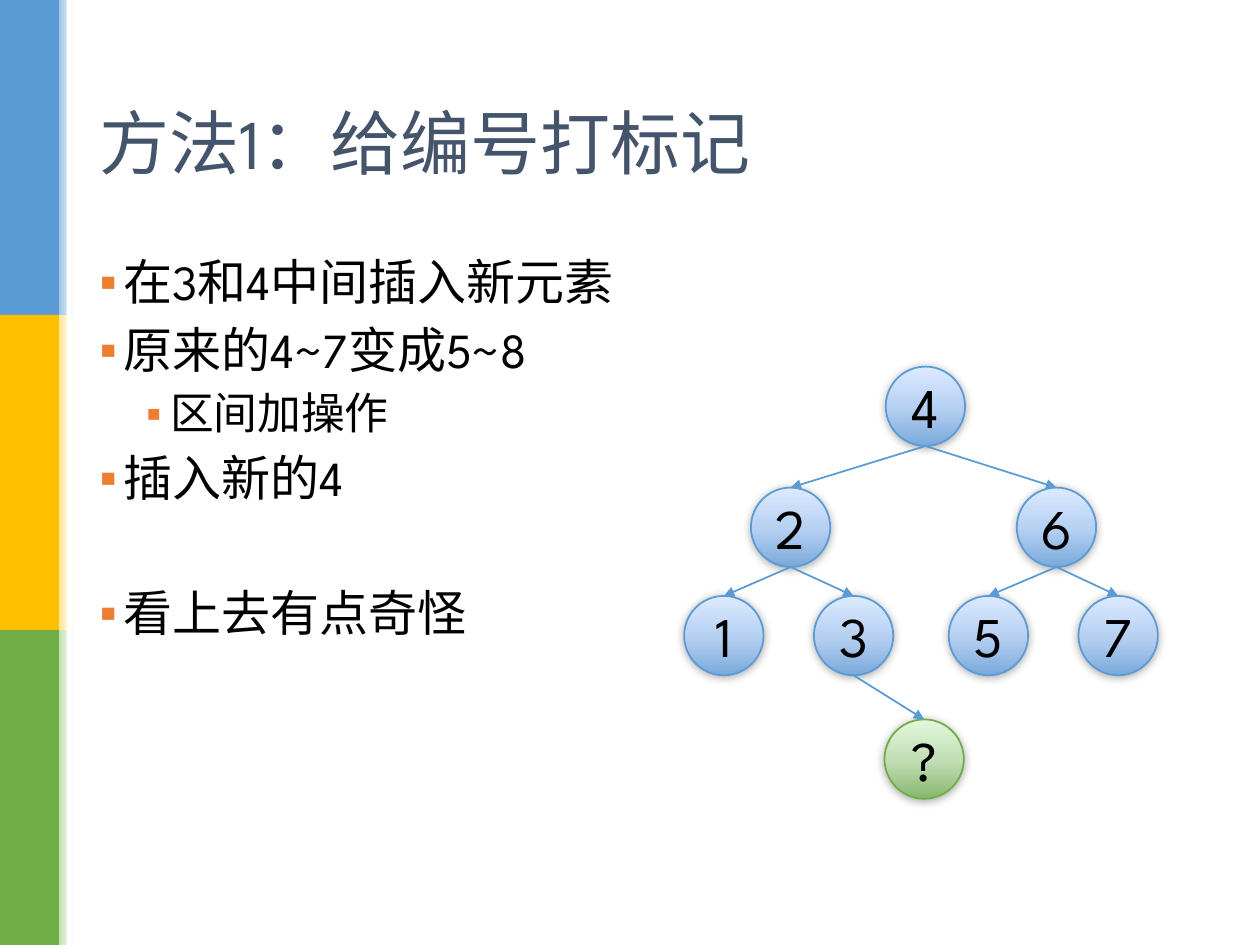
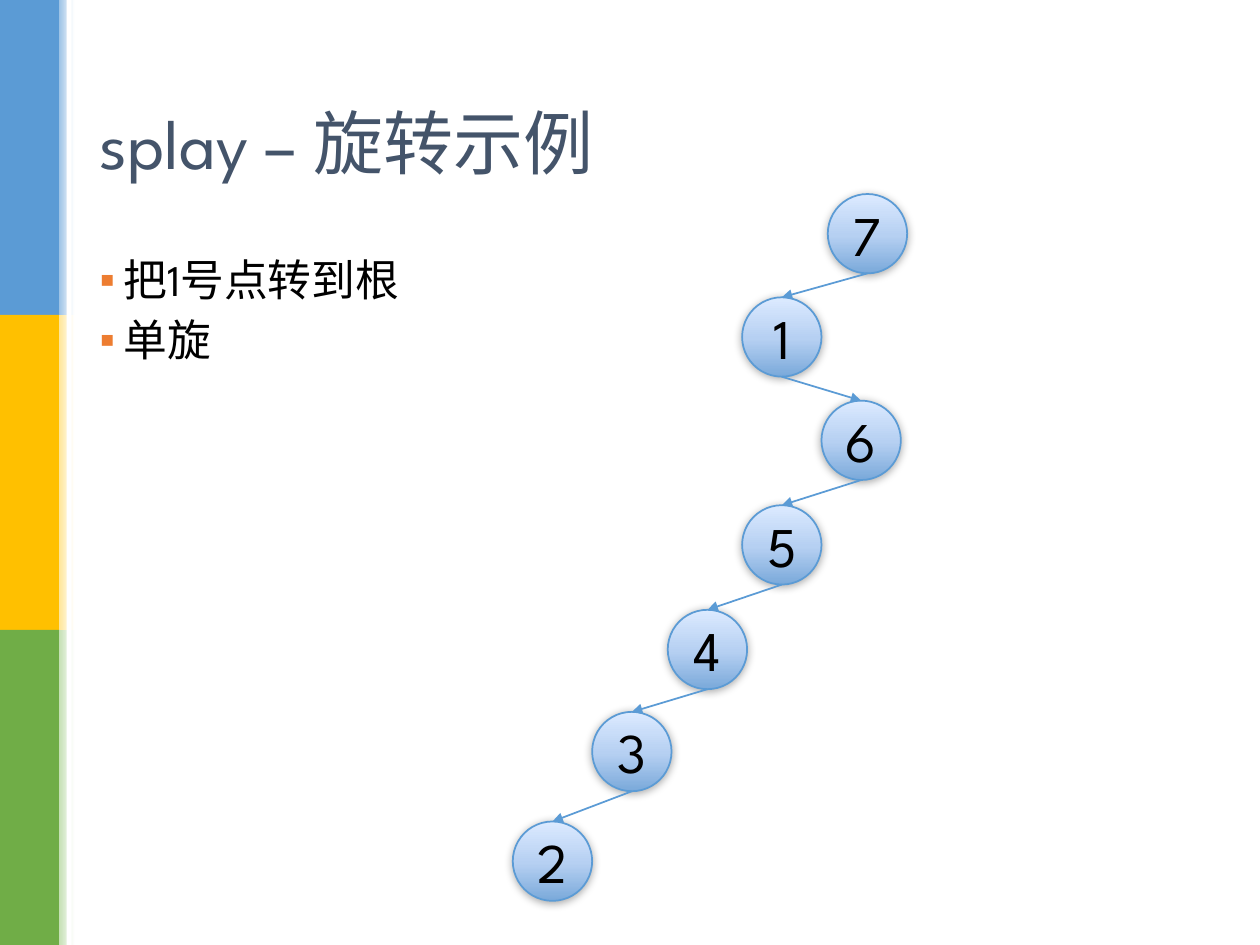
"""Build two slides on balanced trees: numbering marks and a splay rotation."""
from dataclasses import dataclass
from typing import Any, NamedTuple

from lxml import etree
from pptx import Presentation
from pptx.dml.color import RGBColor
from pptx.enum.lang import MSO_LANGUAGE_ID
from pptx.enum.shapes import MSO_CONNECTOR, MSO_SHAPE
from pptx.enum.text import MSO_ANCHOR, MSO_AUTO_SIZE, PP_ALIGN
from pptx.oxml.ns import qn
from pptx.util import Inches, Pt

RECT, OVAL, STRAIGHT = MSO_SHAPE.RECTANGLE, MSO_SHAPE.OVAL, MSO_CONNECTOR.STRAIGHT
LEFT, CENTER, MIDDLE = PP_ALIGN.LEFT, PP_ALIGN.CENTER, MSO_ANCHOR.MIDDLE
NO_FIT = MSO_AUTO_SIZE.NONE
CHINESE = MSO_LANGUAGE_ID.SIMPLIFIED_CHINESE


class Band(NamedTuple):
    color: str
    glow: str


class NodeStyle(NamedTuple):
    line: str
    stops: tuple[tuple[int, str], ...]


class Bullet(NamedTuple):
    text: str
    size: float
    level: int = 0
    gap: float = 0


class Box(NamedTuple):
    left: float
    top: float
    width: float
    height: float


@dataclass(frozen=True)
class Theme:
    font: str = "League Spartan"
    title: str = "44546A"
    text: str = "000000"
    bullet: str = "ED7D31"
    edge: str = "5B9BD5"
    white: str = "FFFFFF"
    title_size: float = 40
    node_size: float = 32
    large: float = 28
    small: float = 25
    bands: tuple[Band, ...] = (
        Band("5B9BD5", "9DC3E6"),
        Band("FFC000", "FFE699"),
        Band("70AD47", "C5E0B4"),
    )
    blue: NodeStyle = NodeStyle("5B9BD5", ((0, "7AA9DA"), (48, "B6D0F2"), (100, "DCEAFF")))
    green: NodeStyle = NodeStyle("70AD47", ((0, "88B76F"), (48, "C1DEB5"), (100, "E3F7DB")))


@dataclass(frozen=True)
class TreeSlide:
    title: str
    body: Box
    bullets: tuple[Bullet, ...]
    nodes: dict[str, tuple[float, float]]
    edges: tuple[str, ...]


THEME = Theme()
NODE = 0.63
BAND_HEIGHT = 2.5
TITLE_BOX = Box(0.69, 0.4, 8.62, 1.45)

SLIDES = (
    TreeSlide(
        "方法1：给编号打标记",
        Box(0.69, 2, 8.62, 4.76),
        (
            Bullet("在3和4中间插入新元素", THEME.large),
            Bullet("原来的4~7变成5~8", THEME.large),
            Bullet("区间加操作", THEME.small, 1),
            Bullet("插入新的4", THEME.large),
            Bullet("看上去有点奇怪", THEME.large, gap=38.5),
        ),
        {
            "4": (7.03, 2.91), "2": (5.96, 3.87), "6": (8.07, 3.87),
            "1": (5.43, 4.73), "3": (6.46, 4.73), "5": (7.53, 4.73),
            "7": (8.56, 4.73), "?": (7.02, 5.71),
        },
        ("42", "46", "21", "23", "65", "67", "3?"),
    ),
    TreeSlide(
        "splay – 旋转示例",
        Box(0.69, 2, 3.38, 1.38),
        (Bullet("把1号点转到根", THEME.small), Bullet("单旋", THEME.small)),
        {
            "7": (6.57, 1.54), "1": (5.89, 2.36), "6": (6.52, 3.18),
            "5": (5.89, 4.01), "4": (5.3, 4.84), "3": (4.7, 5.65), "2": (4.07, 6.52),
        },
        ("71", "16", "65", "54", "43", "32"),
    ),
)


def rgb(color: str) -> RGBColor:
    return RGBColor.from_string(color)


def set_format(obj: Any, values: dict[str, Any]) -> None:
    for name, value in values.items():
        setattr(obj, name, value)


def add_xml(parent: Any, tag: str, **attrs: Any) -> Any:
    return etree.SubElement(parent, qn(tag), {k: str(v) for k, v in attrs.items()})


def place(sp: Any, box: Box) -> None:
    set_format(sp, {k: Inches(v) for k, v in box._asdict().items()})


def write(p: Any, text: str, size: float, color: str) -> None:
    r = p.add_run()
    r.text = text
    set_format(r.font, {"name": THEME.font, "size": Pt(size), "language_id": CHINESE})
    r.font.color.rgb = rgb(color)


def set_gradient(sp: Any, stops: tuple[tuple[int, str], ...], angle: int) -> None:
    grad = etree.Element(qn("a:gradFill"), rotWithShape="1")
    stop_list = add_xml(grad, "a:gsLst")
    for pos, color in stops:
        add_xml(add_xml(stop_list, "a:gs", pos=pos * 1000), "a:srgbClr", val=color)
    add_xml(grad, "a:lin", ang=angle * 60000, scaled=0)
    sp._element.spPr.find(qn("a:prstGeom")).addnext(grad)


def add_rect(slide: Any, box: Box) -> Any:
    sp = slide.shapes.add_shape(RECT, *map(Inches, box))
    sp.shadow.inherit = False
    sp.line.fill.background()
    return sp


def add_solid(slide: Any, box: Box, color: str) -> None:
    sp = add_rect(slide, box)
    sp.fill.solid()
    sp.fill.fore_color.rgb = rgb(color)


def add_side_bands(slide: Any) -> None:
    for i, band in enumerate(THEME.bands):
        top = i * BAND_HEIGHT
        add_solid(slide, Box(0, top, 0.47, BAND_HEIGHT), band.color)
        glow = add_rect(slide, Box(0.47, top, 0.12, BAND_HEIGHT))
        set_gradient(glow, ((0, band.glow), (100, THEME.white)), 0)
    add_solid(slide, Box(0.53, 0, 0.04, 7.5), THEME.white)


def add_title(slide: Any, text: str) -> None:
    sp = slide.shapes.title
    place(sp, TITLE_BOX)
    tf = sp.text_frame
    set_format(tf, {"vertical_anchor": MIDDLE, "word_wrap": True, "auto_size": NO_FIT})
    p = tf.paragraphs[0]
    p.alignment = LEFT
    write(p, text, THEME.title_size, THEME.title)


def add_bullets(slide: Any, box: Box, bullets: tuple[Bullet, ...]) -> None:
    sp = slide.placeholders[1]
    place(sp, box)
    tf = sp.text_frame
    set_format(tf, {"word_wrap": True, "auto_size": NO_FIT})
    for i, item in enumerate(bullets):
        p = tf.add_paragraph() if i else tf.paragraphs[0]
        set_format(p, {
            "level": item.level,
            "line_spacing": 0.9,
            "space_before": Pt(0.3 * item.size + item.gap),
        })
        pPr = p._p.get_or_add_pPr()
        pPr.set("marL", str(Inches((0.19, 0.56)[item.level])))
        pPr.set("indent", str(Inches(-0.19)))
        add_xml(add_xml(pPr, "a:buClr"), "a:srgbClr", val=THEME.bullet)
        add_xml(pPr, "a:buChar", char="▪")
        write(p, item.text, item.size, THEME.text)


def add_node(slide: Any, label: str, left: float, top: float) -> None:
    style = THEME.green if label == "?" else THEME.blue
    sp = slide.shapes.add_shape(OVAL, *map(Inches, (left, top, NODE, NODE)))
    set_gradient(sp, style.stops, 270)
    sp.line.color.rgb = rgb(style.line)
    sp.line.width = Pt(1)
    sp.shadow.inherit = False
    effects = sp._element.spPr.find(qn("a:effectLst"))
    shadow = add_xml(effects, "a:outerShdw", blurRad=Pt(5), dist=Pt(1), dir=90 * 60000,
                     algn="ctr", rotWithShape=0)
    add_xml(add_xml(shadow, "a:srgbClr", val="000000"), "a:alpha", val=32000)
    tf = sp.text_frame
    set_format(tf, {"vertical_anchor": MIDDLE, "word_wrap": False})
    p = tf.paragraphs[0]
    p.alignment = CENTER
    write(p, label, THEME.node_size, THEME.text)


def add_edge(slide: Any, parent: tuple[float, float], child: tuple[float, float]) -> None:
    ends = (parent[0] + NODE / 2, parent[1] + NODE, child[0] + NODE / 2, child[1])
    sp = slide.shapes.add_connector(STRAIGHT, *map(Inches, ends))
    sp.line.color.rgb = rgb(THEME.edge)
    sp.line.width = Pt(1)
    add_xml(sp.line._get_or_add_ln(), "a:tailEnd", type="triangle")
    add_xml(sp._element.spPr, "a:effectLst")


def build_slide(prs: Any, content: TreeSlide) -> None:
    slide = prs.slides.add_slide(prs.slide_layouts[1])
    add_side_bands(slide)
    add_title(slide, content.title)
    add_bullets(slide, content.body, content.bullets)
    for label, (left, top) in content.nodes.items():
        add_node(slide, label, left, top)
    for parent, child in content.edges:
        add_edge(slide, content.nodes[parent], content.nodes[child])


def main() -> None:
    prs = Presentation()
    set_format(prs, {"slide_width": Inches(10), "slide_height": Inches(7.5)})
    for content in SLIDES:
        build_slide(prs, content)
    prs.save("out.pptx")


if __name__ == "__main__":
    main()
